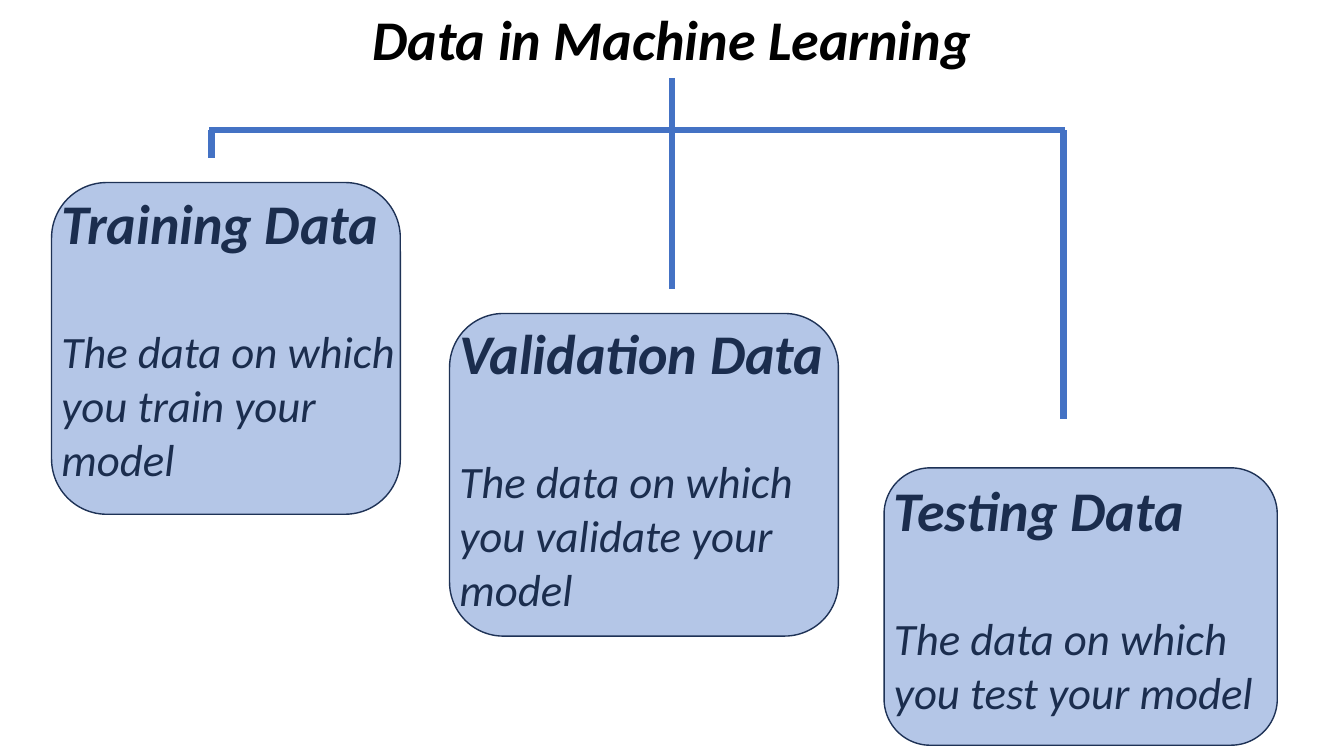
from lxml import etree
from pptx import Presentation
from pptx.dml.color import RGBColor
from pptx.enum.shapes import MSO_CONNECTOR as Line, MSO_SHAPE as Shape
from pptx.enum.text import MSO_AUTO_SIZE as AutoSize, PP_ALIGN as Align
from pptx.oxml.ns import qn
from pptx.util import Cm, Pt

COLOURS = {"text": "000000", "accent": "4472C4", "outline": "1E3256"}
HEADING = {"size": Pt(40), "bold": True}
BODY = {"size": Pt(32), "bold": False}
HEADING_GAP = Pt(48.8)

# heading, body, card box (left, top, width, height), text width, text offset, drop x
CARDS = [
    ("Training Data", "The data on which you train your model",
     (1.3, 4.6, 8.79, 8.36), 9.25, 0.02, 5.33),
    ("Validation Data", "The data on which you validate your model",
     (11.33, 7.9, 9.8, 8.13), 9.91, 0, 16.94),
    ("Testing Data", "The data on which you test your model",
     (22.28, 11.79, 9.91, 6.99), 9.8, 0.07, 26.8),
]
TRUNK_X, TITLE_BOTTOM, BUS_Y = 16.94, 1.96, 3.28
BUS_ENDS = (5.26, 26.85)
DROP_GAP = 0.61


def colour(name):
    return RGBColor.from_string(COLOURS[name])


def add_text(page, box, lines, align=Align.LEFT):
    """Place (text, format) lines in a box, parted by the heading gap."""
    frame = page.shapes.add_textbox(*map(Cm, box)).text_frame
    frame.word_wrap = True
    frame.auto_size = AutoSize.SHAPE_TO_FIT_TEXT
    for index, (text, style) in enumerate(lines):
        para = frame.add_paragraph() if index else frame.paragraphs[0]
        para.alignment = align
        if index:
            para.space_before = HEADING_GAP
        span = para.add_run()
        span.text = text
        for key, value in {"name": "Calibri", "italic": True, **style}.items():
            setattr(span.font, key, value)
        span.font.color.rgb = colour("text")


def add_card(page, box, heading, body, text_width, text_offset):
    """Place the text and lay a translucent rounded panel over it."""
    left, top, width, height = box
    add_text(page, (left, top + text_offset, text_width, height - 0.6),
             [(heading, HEADING), (body, BODY)])
    panel = page.shapes.add_shape(Shape.ROUNDED_RECTANGLE, *map(Cm, box))
    panel.shadow.inherit = False
    panel.fill.solid()
    panel.fill.fore_color.rgb = colour("accent")
    tint = panel.fill._xPr.find(qn("a:solidFill"))[0]
    etree.SubElement(tint, qn("a:alpha")).set("val", "40000")
    panel.line.color.rgb = colour("outline")
    panel.line.width = Pt(1)


def add_line(page, start, end):
    line = page.shapes.add_connector(Line.STRAIGHT, *map(Cm, start + end))
    line.line.color.rgb = colour("accent")
    line.line.width = Pt(4.5)
    etree.SubElement(line._element.spPr, qn("a:effectLst"))


def add_branches(page):
    """Draw the trunk, both arms and one drop above each card."""
    hub = (TRUNK_X, BUS_Y)
    add_line(page, (TRUNK_X, TITLE_BOTTOM), hub)
    for end_x in BUS_ENDS:
        add_line(page, hub, (end_x, BUS_Y))
    for _, _, (_, top, _, _), _, _, drop_x in CARDS:
        gap = DROP_GAP if drop_x <= TRUNK_X else 2 * DROP_GAP
        add_line(page, (drop_x, BUS_Y), (drop_x, top - gap))


def build_slide(deck):
    page = deck.slides.add_slide(deck.slide_layouts[6])
    add_text(page, (8.51, 0, 16.84, TITLE_BOTTOM),
             [("Data in Machine Learning", HEADING)], Align.CENTER)
    for heading, body, box, text_width, text_offset, _ in CARDS:
        add_card(page, box, heading, body, text_width, text_offset)
    add_branches(page)


def main():
    deck = Presentation()
    deck.slide_width, deck.slide_height = Cm(33.87), Cm(19.05)
    build_slide(deck)
    deck.save("out.pptx")


if __name__ == "__main__":
    main()
